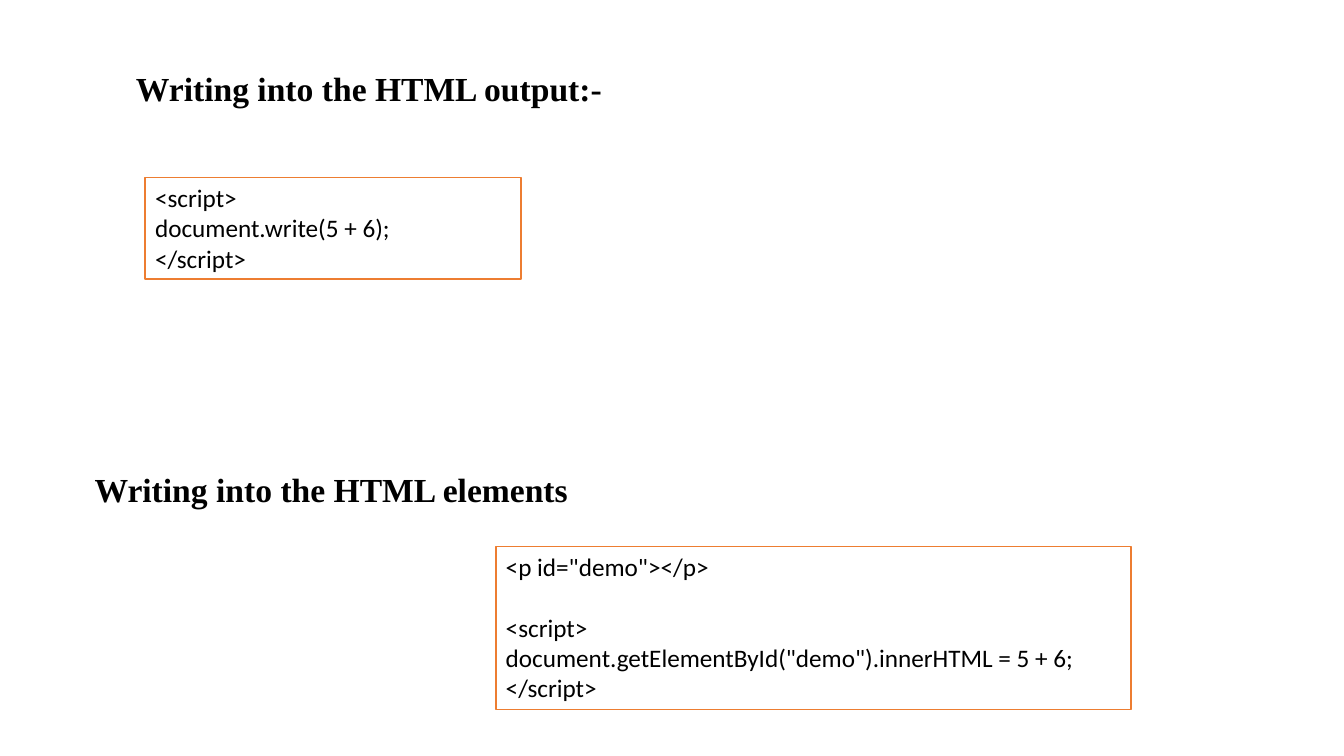
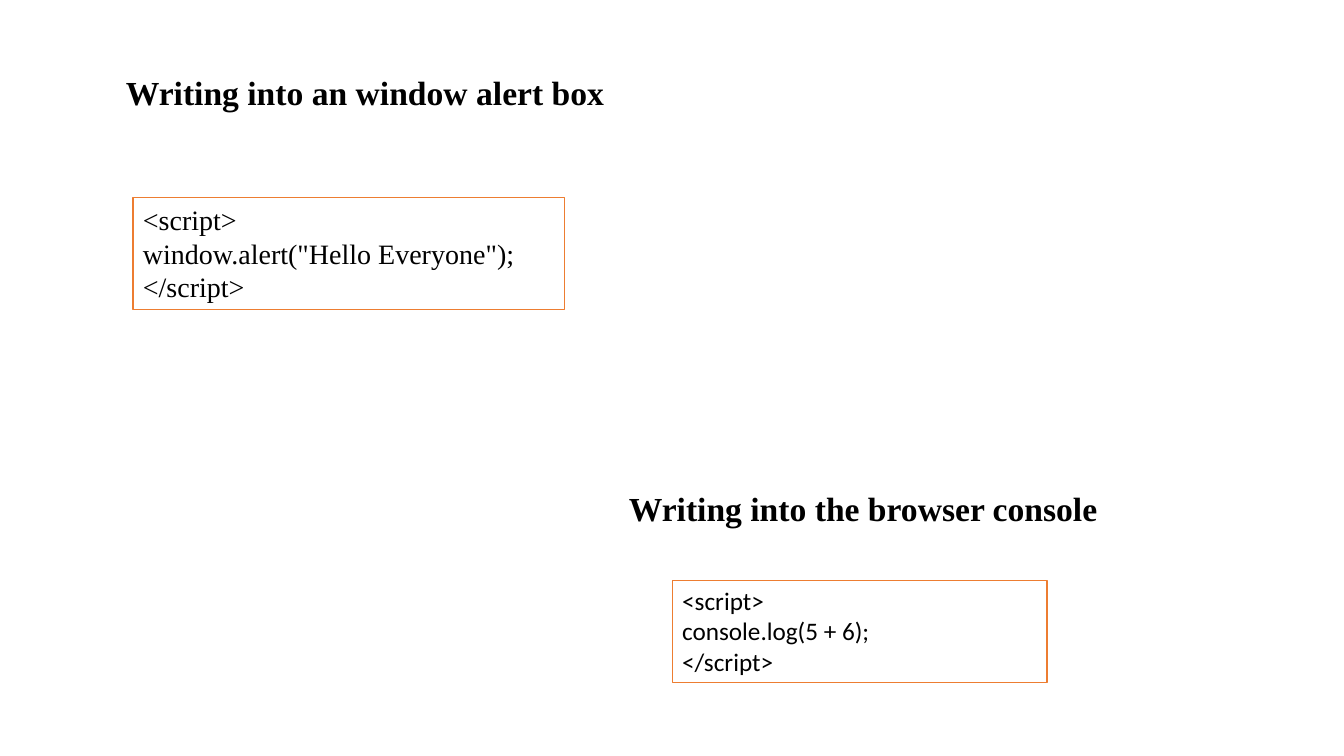
"""Build two slides that show four ways of writing script output."""
import pptx
import pptx.dml.color
import pptx.enum.shapes
import pptx.enum.text
import pptx.util

Pt = pptx.util.Pt
HUES = {"ink": "000000", "paper": "FFFFFF", "edge": "ED7D31"}
HEAD = {"name": "Times New Roman", "size": Pt(24), "bold": True}
CODE = {"name": "Calibri", "size": Pt(18), "bold": False}
SERIF = {"name": "Times New Roman", "size": Pt(20), "bold": False}
FRAME = {
    "word_wrap": True,
    "auto_size": pptx.enum.text.MSO_AUTO_SIZE.NONE,
    "vertical_anchor": pptx.enum.text.MSO_ANCHOR.TOP,
}


class Deck:
    """Hold the shared style and the current slide."""

    def __init__(self):
        self.show = pptx.Presentation()
        self.show.slide_width = Pt(960)
        self.show.slide_height = Pt(540)
        self.slide = None

    def page(self):
        """Start a blank slide."""
        self.slide = self.show.slides.add_slide(self.show.slide_layouts[6])

    def hue(self, name):
        """Return the named colour."""
        return pptx.dml.color.RGBColor.from_string(HUES[name])

    def style(self, item, form):
        """Set each format value on an item."""
        for key, value in form.items():
            setattr(item, key, value)

    def label(self, shape, lines, form, gap=None):
        """Fill a shape with lines, with space above the line numbered gap."""
        frame = shape.text_frame
        self.style(frame, FRAME)
        frame.text = "\n".join(lines)
        for row, para in enumerate(frame.paragraphs):
            para.alignment = pptx.enum.text.PP_ALIGN.LEFT
            if row == gap:
                para.space_before = Pt(22)
            for run in para.runs:
                self.style(run.font, form)
                run.font.color.rgb = self.hue("ink")

    def title(self, text, left, top, width):
        """Add a bold heading."""
        box = self.slide.shapes.add_textbox(Pt(left), Pt(top), Pt(width), Pt(36))
        self.label(box, [text], HEAD)

    def code(self, lines, left, top, width, height, form=CODE, gap=None):
        """Add a framed code sample."""
        box = self.slide.shapes.add_shape(
            pptx.enum.shapes.MSO_SHAPE.RECTANGLE,
            Pt(left), Pt(top), Pt(width), Pt(height))
        box.shadow.inherit = False
        box.fill.solid()
        box.fill.fore_color.rgb = self.hue("paper")
        box.line.color.rgb = self.hue("edge")
        box.line.width = Pt(1)
        self.label(box, lines, form, gap)


def script(text):
    """Wrap a statement in script tags."""
    return ["<script>", text, "</script>"]


deck = Deck()

deck.page()
deck.title("Writing into the HTML output:-", 90, 45.2, 356.4)
deck.code(script("document.write(5 + 6);"), 103.7, 126.7, 268.6, 72.7)
deck.code(
    ['<p id="demo"></p>']
    + script('document.getElementById("demo").innerHTML = 5 + 6;'),
    354.2, 390.2, 453.6, 116.6, gap=1)
deck.title("Writing into the HTML elements", 60.5, 331.2, 355.7)

deck.page()
deck.title("Writing into an window alert box", 82.8, 47.5, 359.3)
deck.code(script('window.alert("Hello Everyone");'),
          95, 141.1, 308.2, 79.9, SERIF)
deck.code(script("console.log(5 + 6);"), 480.2, 414.7, 267.8, 72.7)
deck.title("Writing into the browser console", 442.1, 344.9, 352.1)

deck.show.save("out.pptx")
